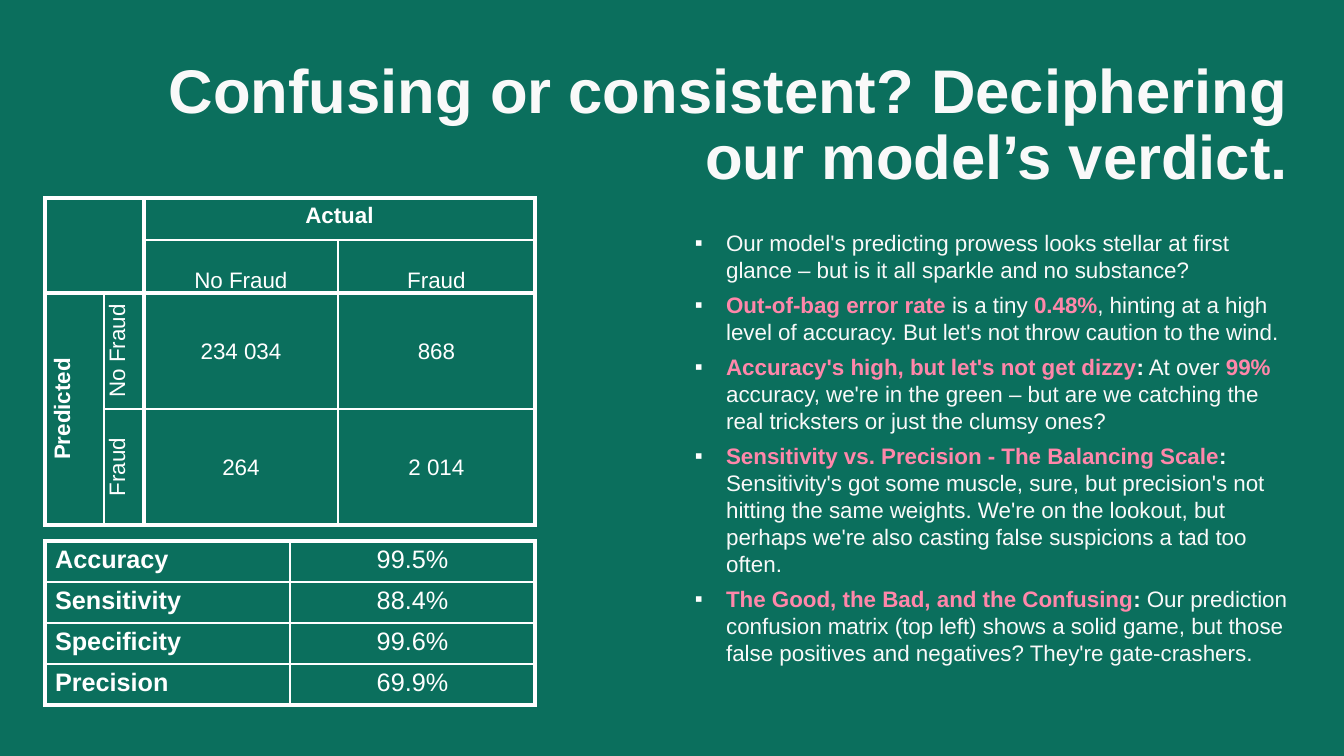
import pptx
import pptx.util
import pptx.dml.color
import pptx.enum.text
import pptx.oxml
import pptx.oxml.ns

GREEN, WHITE, PALE, PINK = "0B6F5D", "FFFFFF", "F9F9F9", "FF87AA"
FONT = "Arial"
PX = 9071
NO_STYLE = "{2D5ABB26-0587-4C30-8999-92F81FD0307C}"
ALIGN = pptx.enum.text.PP_ALIGN
ANCHOR = pptx.enum.text.MSO_ANCHOR

TITLE = "Confusing or consistent? Deciphering our model’s verdict."
TITLE_BOX = (45, 44, 1254, 154)
BULLETS_BOX = (685, 224, 615, 452)
BULLETS = [
    [("Our model's predicting prowess looks stellar at first glance – but is it all sparkle and no substance?", PALE, False)],
    [("Out-of-bag error rate", PINK, True), (" is a tiny ", PALE, False), ("0.48%", PINK, True),
     (", hinting at a high level of accuracy. But let's not throw caution to the wind.", PALE, False)],
    [("Accuracy's high, but let's not get dizzy", PINK, True), (":", PALE, True), (" At over ", PALE, False),
     ("99%", PINK, True),
     (" accuracy, we're in the green – but are we catching the real tricksters or just the clumsy ones?", PALE, False)],
    [("Sensitivity vs. Precision - The Balancing Scale", PINK, True), (":", PALE, True),
     (" Sensitivity's got some muscle, sure, but precision's not hitting the same weights. We're on the lookout, "
      "but perhaps we're also casting false suspicions a tad too often.", PALE, False)],
    [("The Good, the Bad, and the Confusing", PINK, True), (":", PALE, True),
     (" Our prediction confusion matrix (top left) shows a solid game, but those false positives and negatives? "
      "They're gate-crashers.", PALE, False)],
]
MATRIX = {
    "place": (45, 198), "columns": (59, 40, 194, 197), "rows": (42, 53, 116, 116),
    "thick_rows": (0, 2, 4), "thick_columns": (0, 2, 4),
    "merges": {(0, 2): (1, 2), (2, 0): (2, 1)},
    "corner": [(0, 0), (0, 1), (1, 0), (1, 1)],
    "texts": [["", "", "Actual", ""],
              ["", "", "No Fraud", "Fraud"],
              ["Predicted", "No Fraud", "234 034", "868"],
              ["", "Fraud", "264", "2 014"]],
}
METRICS = {
    "place": (45, 541), "columns": (245, 245), "rows": (41, 41, 41, 41),
    "thick_rows": (0, 4), "thick_columns": (0, 2), "merges": {}, "corner": [],
    "texts": [["Accuracy", "99.5%"], ["Sensitivity", "88.4%"],
              ["Specificity", "99.6%"], ["Precision", "69.9%"]],
}


def color(code):
    return pptx.dml.color.RGBColor.from_string(code)


def emu(*lengths):
    return [length * PX for length in lengths]


def set_font(font, size, code, bold):
    font.name, font.size, font.bold = FONT, pptx.util.Pt(size), bold
    font.color.rgb = color(code)


def add_xml(parent, xml):
    namespace = pptx.oxml.ns.nsdecls("a")
    parent.append(pptx.oxml.parse_xml(xml.replace(" ", f" {namespace} ", 1)))


def draw_borders(cell, r, c, content):
    height, width = content["merges"].get((r, c), (1, 1))
    corner = content["corner"]
    edges = [("L", (r, c - 1), c in content["thick_columns"]),
             ("R", (r, c + width), c + width in content["thick_columns"]),
             ("T", (r - 1, c), r in content["thick_rows"]),
             ("B", (r + height, c), r + height in content["thick_rows"])]
    for side, neighbour, thick in edges:
        if (r, c) in corner and neighbour in corner:
            continue
        weight = pptx.util.Pt(3 if thick else 1)
        add_xml(cell._tc.get_or_add_tcPr(),
                f'<a:ln{side} w="{weight}"><a:solidFill><a:srgbClr val="{WHITE}"/>'
                f'</a:solidFill></a:ln{side}>')


def draw_grid(page, content):
    columns, rows = content["columns"], content["rows"]
    frame = page.shapes.add_table(len(rows), len(columns),
                                  *emu(*content["place"], sum(columns), sum(rows)))
    table = frame.table
    table.first_row = table.horz_banding = False
    table._tbl.tblPr.find(pptx.oxml.ns.qn("a:tableStyleId")).text = NO_STYLE
    for column, width in zip(table.columns, columns):
        column.width = width * PX
    for row, height in zip(table.rows, rows):
        row.height = height * PX
    for (top, left), (height, width) in content["merges"].items():
        table.cell(top, left).merge(table.cell(top + height - 1, left + width - 1))
    for r in range(len(rows)):
        for c in range(len(columns)):
            cell = table.cell(r, c)
            if not cell.is_spanned:
                draw_borders(cell, r, c, content)
            cell.fill.solid()
            cell.fill.fore_color.rgb = color(GREEN)
    return table


def write_cell(cell, text, size, bold, align):
    cell.text = text
    para = cell.text_frame.paragraphs[0]
    para.alignment = align
    set_font(para.font, size, WHITE, bold)


def draw_matrix(page):
    table = draw_grid(page, MATRIX)
    for r, texts in enumerate(MATRIX["texts"]):
        for c, text in enumerate(texts):
            if not text:
                continue
            cell = table.cell(r, c)
            heading = text in ("Actual", "Predicted")
            write_cell(cell, text, 16, heading, ALIGN.CENTER)
            if not heading:
                cell.margin_left = cell.margin_right = cell.margin_top = PX
                cell.margin_bottom = 0
                cell.vertical_anchor = ANCHOR.MIDDLE if r > 1 and c > 1 else ANCHOR.BOTTOM
            elif c == 0:
                cell.vertical_anchor = ANCHOR.MIDDLE
            if c < 2:
                cell._tc.get_or_add_tcPr().set("vert", "vert270")


def draw_metrics(page):
    table = draw_grid(page, METRICS)
    for r, (label, value) in enumerate(METRICS["texts"]):
        write_cell(table.cell(r, 0), label, 18, True, ALIGN.LEFT)
        write_cell(table.cell(r, 1), value, 18, False, ALIGN.CENTER)


def draw_title(page):
    title = page.shapes.title
    title.left, title.top, title.width, title.height = emu(*TITLE_BOX)
    frame = title.text_frame
    frame.text = TITLE
    frame.word_wrap = True
    frame.auto_size = pptx.enum.text.MSO_AUTO_SIZE.NONE
    frame.vertical_anchor = ANCHOR.BOTTOM
    para = frame.paragraphs[0]
    para.alignment, para.line_spacing = ALIGN.RIGHT, 0.9
    set_font(para.font, 44, PALE, True)


def draw_bullets(page):
    frame = page.shapes.add_textbox(*emu(*BULLETS_BOX)).text_frame
    frame.word_wrap = True
    frame.auto_size = pptx.enum.text.MSO_AUTO_SIZE.SHAPE_TO_FIT_TEXT
    for index, spans in enumerate(BULLETS):
        para = frame.add_paragraph() if index else frame.paragraphs[0]
        para.space_after = pptx.util.Pt(6)
        properties = para._p.get_or_add_pPr()
        indent = pptx.util.Inches(0.31)
        properties.set("marL", str(indent))
        properties.set("indent", str(-indent))
        add_xml(properties, f'<a:buClr ><a:srgbClr val="{WHITE}"/></a:buClr>')
        add_xml(properties, f'<a:buFont typeface="{FONT}"/>')
        add_xml(properties, '<a:buChar char="▪"/>')
        for text, code, bold in spans:
            span = para.add_run()
            span.text = text
            set_font(span.font, 16, code, bold)


def main():
    deck = pptx.Presentation()
    deck.slide_width, deck.slide_height = emu(1344, 756)
    page = deck.slides.add_slide(deck.slide_layouts[5])
    page.background.fill.solid()
    page.background.fill.fore_color.rgb = color(GREEN)
    draw_title(page)
    draw_matrix(page)
    draw_bullets(page)
    draw_metrics(page)
    deck.save("out.pptx")


if __name__ == "__main__":
    main()
